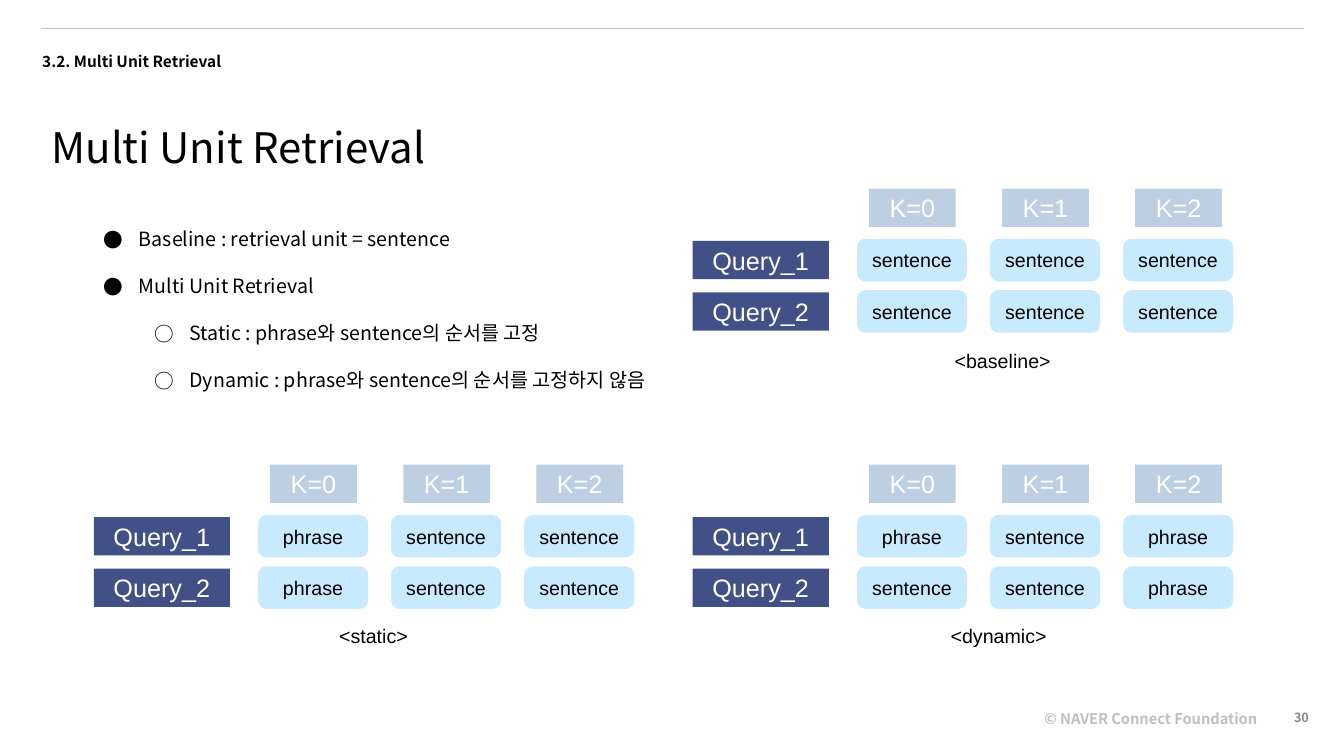
from lxml import etree
from pptx import Presentation
from pptx.dml.color import RGBColor
from pptx.enum.shapes import MSO_CONNECTOR, MSO_SHAPE
from pptx.enum.text import MSO_ANCHOR, MSO_AUTO_SIZE, PP_ALIGN
from pptx.oxml.ns import qn
from pptx.util import Inches, Pt

COLORS = {
    "black": "000000",
    "white": "FFFFFF",
    "rule": "BFBFBF",
    "page": "888888",
    "query": "415086",
    "rank": "BDCFE3",
    "unit": "C8EAFF",
}
SANS = "Noto Sans CJK KR"
ARIAL = "Arial"

BULLETS = [
    (0, "Baseline : retrieval unit = sentence"),
    (0, "Multi Unit Retrieval"),
    (1, "Static : phrase와 sentence의 순서를 고정"),
    (1, "Dynamic : phrase와 sentence의 순서를 고정하지 않음"),
]
PANELS = [
    (6.87, 1.87, "<baseline>", 9.32, 3.35, [["sentence"] * 3] * 2),
    (0.93, 4.61, "<static>", 3.08, 6.07, [["phrase", "sentence", "sentence"]] * 2),
    (6.87, 4.61, "<dynamic>", 9.28, 6.07,
     [["phrase", "sentence", "phrase"], ["sentence", "sentence", "phrase"]]),
]


def color(name):
    return RGBColor.from_string(COLORS[name])


def style(paragraph, size, font_name, color_name="black", bold=False,
          align=PP_ALIGN.LEFT, spacing=1.0):
    paragraph.alignment = align
    paragraph.line_spacing = spacing
    font = paragraph.font
    font.size, font.name, font.bold = Pt(size), font_name, bold
    font.color.rgb = color(color_name)
    latin = font._element.find(qn("a:latin"))
    east_asian = etree.Element(qn("a:ea"), typeface=font_name)
    latin.addnext(east_asian)


def add_text(slide, left, top, width, height, text, size, font_name,
             anchor=MSO_ANCHOR.TOP, **options):
    box = slide.shapes.add_textbox(Inches(left), Inches(top), Inches(width), Inches(height))
    frame = box.text_frame
    frame.word_wrap = True
    frame.vertical_anchor = anchor
    frame.text = text
    style(frame.paragraphs[0], size, font_name, **options)


def add_title(slide, text):
    title = slide.shapes.title
    title.left, title.top = Inches(0.41), Inches(0.97)
    title.width, title.height = Inches(10.9), Inches(0.61)
    frame = title.text_frame
    frame.text = text
    frame.word_wrap = True
    frame.auto_size = MSO_AUTO_SIZE.NONE
    frame.vertical_anchor = MSO_ANCHOR.TOP
    style(frame.paragraphs[0], 30, SANS, spacing=1.38)


def add_rule(slide):
    rule = slide.shapes.add_connector(
        MSO_CONNECTOR.STRAIGHT, Inches(0.41), Inches(0.28), Inches(12.93), Inches(0.28))
    rule.line.color.rgb = color("rule")
    rule.line.width = Pt(0.75)
    etree.SubElement(rule._element.spPr, qn("a:effectLst"))


def add_bullet(paragraph, level):
    paragraph.level = level
    properties = paragraph._p.get_or_add_pPr()
    properties.set("marL", str(Inches(0.5 * (level + 1))))
    properties.set("indent", str(Inches(-0.35)))
    bullet_color = etree.SubElement(properties, qn("a:buClr"))
    etree.SubElement(bullet_color, qn("a:srgbClr"), val=COLORS["black"])
    etree.SubElement(properties, qn("a:buFont"), typeface=SANS)
    etree.SubElement(properties, qn("a:buChar"), char="●○"[level])


def add_bullets(slide, items):
    box = slide.shapes.add_textbox(Inches(0.78), Inches(1.97), Inches(5.85), Inches(1.75))
    frame = box.text_frame
    frame.word_wrap = True
    for index, (level, text) in enumerate(items):
        paragraph = frame.add_paragraph() if index else frame.paragraphs[0]
        paragraph.text = text
        add_bullet(paragraph, level)
        style(paragraph, 14, SANS, spacing=2.0)


def add_block(slide, left, top, width, text, fill, size=18, text_color="white",
              kind=MSO_SHAPE.RECTANGLE):
    block = slide.shapes.add_shape(kind, Inches(left), Inches(top), Inches(width), Inches(0.38))
    block.shadow.inherit = False
    block.fill.solid()
    block.fill.fore_color.rgb = color(fill)
    block.line.fill.background()
    frame = block.text_frame
    frame.word_wrap = True
    frame.vertical_anchor = MSO_ANCHOR.MIDDLE
    frame.text = text
    style(frame.paragraphs[0], size, ARIAL, text_color, align=PP_ALIGN.CENTER)
    return block


def add_unit(slide, left, top, text):
    unit = add_block(slide, left, top, 1.05, text, "unit", 14, "black",
                     MSO_SHAPE.ROUNDED_RECTANGLE)
    unit.line.color.rgb = color("unit")
    unit.line.width = Pt(3)


def add_panel(slide, left, top, caption, caption_left, caption_top, rows):
    column_pitch = 1.32
    for column in range(3):
        add_block(slide, left + 1.75 + column * column_pitch, top, 0.86, f"K={column}", "rank")
    for row, units in enumerate(rows):
        row_top = top + 0.52 + row * 0.51
        add_block(slide, left, row_top, 1.35, f"Query_{row + 1}", "query")
        for column, unit in enumerate(units):
            add_unit(slide, left + 1.65 + column * column_pitch, row_top, unit)
    add_text(slide, caption_left, caption_top, 1.25, 0.34, caption, 14, ARIAL,
             align=PP_ALIGN.CENTER, spacing=1.29)


def main():
    presentation = Presentation()
    presentation.slide_width, presentation.slide_height = Inches(13.33), Inches(7.5)
    slide = presentation.slides.add_slide(presentation.slide_layouts[5])
    add_title(slide, "Multi Unit Retrieval")
    add_rule(slide)
    add_text(slide, 0.32, 0.3, 2.52, 0.29, "3.2. Multi Unit Retrieval", 11, SANS,
             bold=True, spacing=1.91)
    add_text(slide, 10.26, 6.98, 2.39, 0.28, "© NAVER Connect Foundation", 10.5, SANS,
             color_name="rule", bold=True, spacing=1.1)
    add_text(slide, 12.2, 6.92, 0.88, 0.4, "30", 9, SANS, MSO_ANCHOR.MIDDLE,
             color_name="page", bold=True, align=PP_ALIGN.RIGHT)
    add_bullets(slide, BULLETS)
    for panel in PANELS:
        add_panel(slide, *panel)
    presentation.save("out.pptx")


if __name__ == "__main__":
    main()
